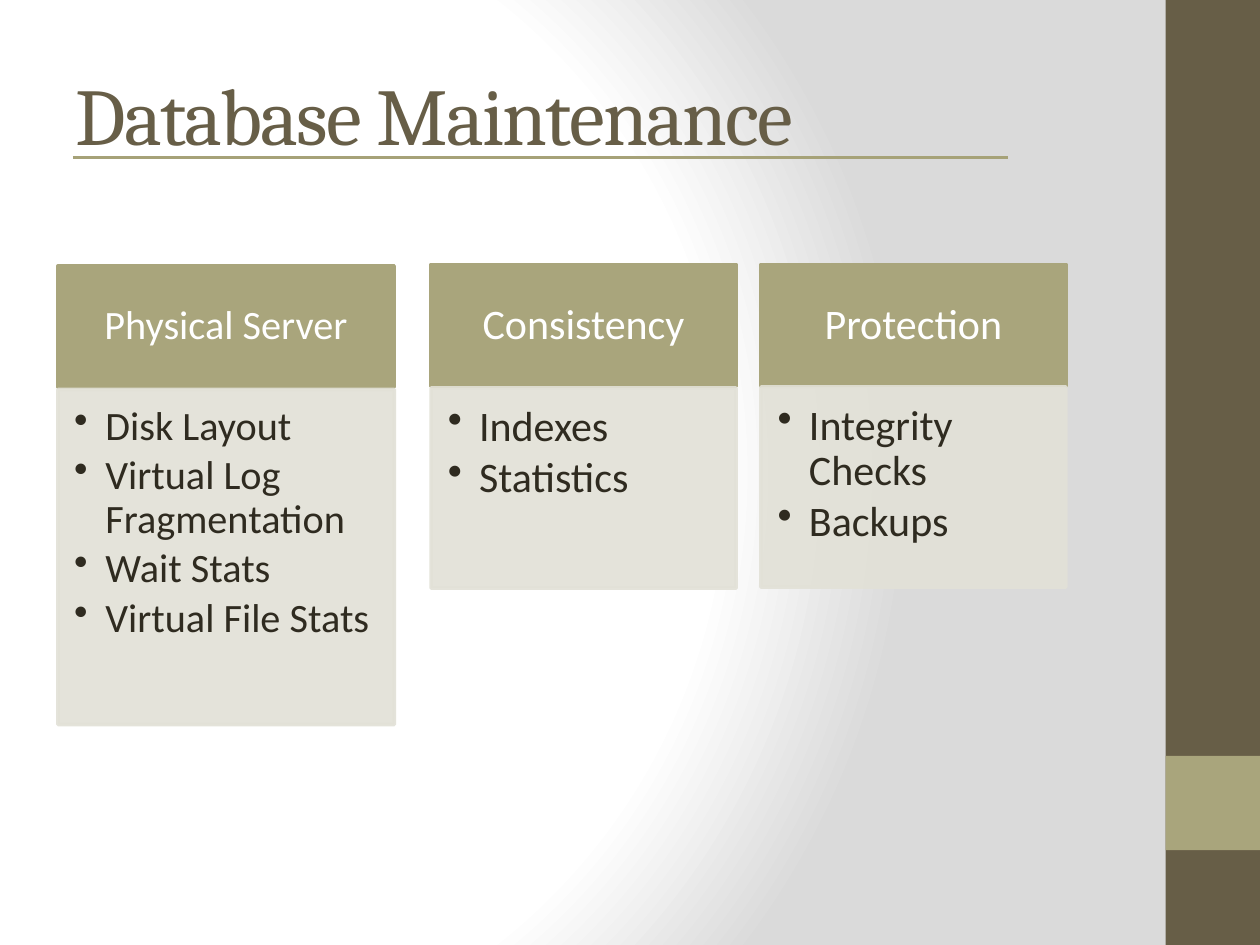
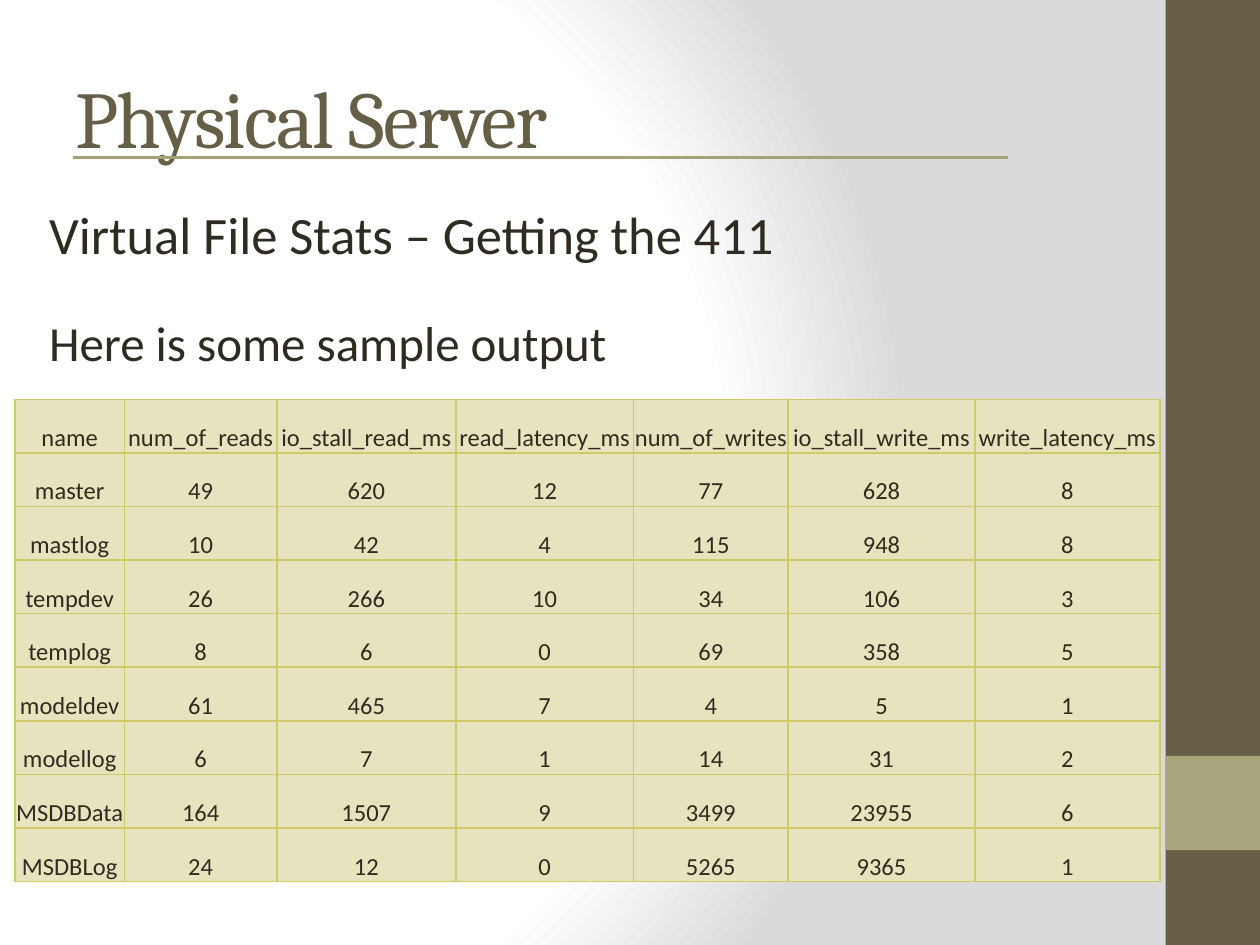
"""Build two slides on database maintenance and virtual file statistics."""
from lxml import etree
from pptx import Presentation
from pptx.dml.color import RGBColor
from pptx.enum.shapes import MSO_CONNECTOR, MSO_SHAPE
from pptx.enum.text import MSO_ANCHOR, MSO_AUTO_SIZE, PP_ALIGN
from pptx.oxml import parse_xml
from pptx.oxml.ns import nsdecls, qn
from pptx.util import Cm, Pt

RECTANGLE = MSO_SHAPE.RECTANGLE
STRAIGHT = MSO_CONNECTOR.STRAIGHT
TOP, MIDDLE, BOTTOM = MSO_ANCHOR.TOP, MSO_ANCHOR.MIDDLE, MSO_ANCHOR.BOTTOM
LEFT, CENTER = PP_ALIGN.LEFT, PP_ALIGN.CENTER
NO_AUTOFIT = MSO_AUTO_SIZE.NONE

BROWN = RGBColor(0x67, 0x5E, 0x47)
OLIVE = RGBColor(0xA9, 0xA5, 0x7C)
RULE_OLIVE = RGBColor(0xA6, 0xA2, 0x78)
PANEL = RGBColor(0xE2, 0xE1, 0xD7)
INK = RGBColor(0x2F, 0x2B, 0x20)
WHITE = RGBColor(0xFF, 0xFF, 0xFF)
BACKDROP_GRAY = RGBColor(0xDA, 0xDA, 0xDA)
CELL = RGBColor(0xE6, 0xE4, 0xBF)
GRID = RGBColor(0xD0, 0xC9, 0x67)

HEADING_FONT, BODY_FONT = "Cambria", "Calibri"
TITLE_ONLY = 5
WIDTH, HEIGHT = 25.4, 19.05
SIDEBAR_LEFT, SIDEBAR_WIDTH = 23.5, 1.9

TOPICS = [
    ("Physical Server", 23, (1.17, 5.36, 6.78), 2.44, (7.85, 6.76),
     ["Disk Layout", "Virtual Log Fragmentation", "Wait Stats", "Virtual File Stats"]),
    ("Consistency", 24, (8.69, 5.33, 6.15), 2.46, (7.82, 4.04),
     ["Indexes", "Statistics"]),
    ("Protection", 24, (15.34, 5.33, 6.15), 2.46, (7.8, 4.04),
     ["Integrity Checks", "Backups"]),
]

FILE_STATS = [
    ("name", "num_of_reads", "io_stall_read_ms", "read_latency_ms",
     "num_of_writes", "io_stall_write_ms", "write_latency_ms"),
    ("master", 49, 620, 12, 77, 628, 8),
    ("mastlog", 10, 42, 4, 115, 948, 8),
    ("tempdev", 26, 266, 10, 34, 106, 3),
    ("templog", 8, 6, 0, 69, 358, 5),
    ("modeldev", 61, 465, 7, 4, 5, 1),
    ("modellog", 6, 7, 1, 14, 31, 2),
    ("MSDBData", 164, 1507, 9, 3499, 23955, 6),
    ("MSDBLog", 24, 12, 0, 5265, 9365, 1),
]
COLUMN_WIDTHS = (2.21, 3.07, 3.61, 3.58, 3.12, 3.76, 3.73)
ROW_HEIGHT = 1.08


def set_backdrop(master):
    """Give the master a radial gradient from white to gray."""
    master.background.fill.solid()
    plain = master.element.find(".//" + qn("p:bgPr"))[0]
    stops = "".join(
        f'<a:gs pos="{percent * 1000}"><a:srgbClr val="{color}"/></a:gs>'
        for percent, color in ((0, WHITE), (75, WHITE), (100, BACKDROP_GRAY)))
    plain.getparent().replace(plain, parse_xml(
        f'<a:gradFill {nsdecls("a")} rotWithShape="1"><a:gsLst>{stops}</a:gsLst>'
        '<a:path path="circle"><a:fillToRect l="20000" t="50000" r="100000" b="50000"/>'
        '</a:path></a:gradFill>'))


def add_run(paragraph, text, size, color, font=BODY_FONT):
    """Append one formatted run."""
    run = paragraph.add_run()
    run.text = text
    run.font.name = font
    run.font.size = Pt(size)
    run.font.color.rgb = color
    return run


def add_block(slide, left, top, width, height, color, outlined=False):
    """Draw a flat rectangle, with a line in its own colour if outlined."""
    block = slide.shapes.add_shape(RECTANGLE, Cm(left), Cm(top), Cm(width), Cm(height))
    block.shadow.inherit = False
    block.fill.solid()
    block.fill.fore_color.rgb = color
    if outlined:
        block.line.color.rgb = color
        block.line.width = Pt(2)
    else:
        block.line.fill.background()
    return block


def add_titled_slide(deck, title, top, height):
    """Add a slide with its sidebar, heading and heading rule."""
    slide = deck.slides.add_slide(deck.slide_layouts[TITLE_ONLY])
    add_block(slide, SIDEBAR_LEFT, 0, SIDEBAR_WIDTH, HEIGHT, BROWN)
    add_block(slide, SIDEBAR_LEFT, 15.24, SIDEBAR_WIDTH, SIDEBAR_WIDTH, OLIVE)

    heading = slide.shapes.title
    heading.left, heading.top = Cm(1.27), Cm(top)
    heading.width, heading.height = Cm(21.16), Cm(height)
    frame = heading.text_frame
    frame.auto_size = NO_AUTOFIT
    frame.vertical_anchor = MIDDLE
    frame.paragraphs[0].alignment = LEFT
    run = add_run(frame.paragraphs[0], title, 46, BROWN, HEADING_FONT)
    run.font._element.set("spc", "-100")

    rule = slide.shapes.add_connector(STRAIGHT, Cm(1.47), Cm(3.18), Cm(20.32), Cm(3.18))
    rule.line.color.rgb = RULE_OLIVE
    rule.line.width = Pt(1.5)
    etree.SubElement(rule.element.spPr, qn("a:effectLst"))
    return slide


def set_insets(frame, left, top, right, bottom):
    """Set the four inner margins of a text frame."""
    frame.word_wrap = True
    frame.margin_left, frame.margin_top = left, top
    frame.margin_right, frame.margin_bottom = right, bottom


def add_bullet(paragraph):
    """Give a paragraph a hanging round bullet."""
    properties = paragraph._p.get_or_add_pPr()
    properties.set("marL", str(Cm(0.63)))
    properties.set("indent", str(-Cm(0.63)))
    etree.SubElement(properties, qn("a:buChar"), char="•")


def add_topic(slide, name, size, place, head_height, body_span, points):
    """Draw a topic header above a translucent panel of bullet points."""
    left, top, width = place
    side = Pt(size * 0.55)
    header = add_block(slide, left, top, width, head_height, OLIVE, outlined=True)
    set_insets(header.text_frame, side, Pt(size * 0.32), side, Pt(size * 0.32))
    header.text_frame.vertical_anchor = MIDDLE
    label = header.text_frame.paragraphs[0]
    label.alignment = CENTER
    label.line_spacing = 0.9
    add_run(label, name, size, WHITE)

    body_top, body_height = body_span
    panel = add_block(slide, left, body_top, width, body_height, PANEL, outlined=True)
    for color in panel.element.spPr.iter(qn("a:srgbClr")):
        etree.SubElement(color, qn("a:alpha"), val="90000")
    frame = panel.text_frame
    set_insets(frame, Pt(size * 0.4), Pt(size * 0.4), side, Pt(size * 0.6))
    frame.vertical_anchor = TOP
    for index, point in enumerate(points):
        paragraph = frame.add_paragraph() if index else frame.paragraphs[0]
        paragraph.alignment = LEFT
        paragraph.line_spacing = 0.9
        paragraph.space_after = Pt(size * 0.15)
        add_bullet(paragraph)
        add_run(paragraph, point, size, INK)


def add_introduction(slide):
    """Write the two lines that lead into the table."""
    introduction = slide.shapes.add_textbox(Cm(0.43), Cm(3.94), Cm(22.43), Cm(4))
    frame = introduction.text_frame
    set_insets(frame, Cm(0.56), Cm(0.13), Cm(0.25), Cm(0.13))
    add_run(frame.paragraphs[0], "Virtual File Stats – Getting the 411", 30, INK)
    lead = frame.add_paragraph()
    lead.space_before = Pt(27)
    add_run(lead, "Here is some sample output", 28, INK)


def format_cell(cell, value):
    """Write a value into a filled and bordered cell."""
    cell.margin_left = cell.margin_right = cell.margin_top = Cm(0.02)
    cell.margin_bottom = Cm(0)
    cell.vertical_anchor = BOTTOM
    cell.fill.solid()
    cell.fill.fore_color.rgb = CELL
    paragraph = cell.text_frame.paragraphs[0]
    paragraph.alignment = CENTER
    add_run(paragraph, str(value), 14, INK)
    properties = cell._tc.get_or_add_tcPr()
    for order, edge in enumerate(("lnL", "lnR", "lnT", "lnB")):
        properties.insert(order, parse_xml(
            f'<a:{edge} {nsdecls("a")} w="{Pt(1)}"><a:solidFill>'
            f'<a:srgbClr val="{GRID}"/></a:solidFill></a:{edge}>'))


def add_stats_table(slide):
    """Add the table of reads, writes and latencies per file."""
    table = slide.shapes.add_table(
        len(FILE_STATS), len(COLUMN_WIDTHS), Cm(0.3), Cm(8.05),
        Cm(sum(COLUMN_WIDTHS)), Cm(ROW_HEIGHT * len(FILE_STATS))).table
    table.first_row = table.horz_banding = False
    for column, width in zip(table.columns, COLUMN_WIDTHS):
        column.width = Cm(width)
    for row, values in zip(table.rows, FILE_STATS):
        row.height = Cm(ROW_HEIGHT)
        for cell, value in zip(row.cells, values):
            format_cell(cell, value)


def main():
    """Build and save the deck."""
    deck = Presentation()
    deck.slide_width, deck.slide_height = Cm(WIDTH), Cm(HEIGHT)
    set_backdrop(deck.slide_master)

    overview = add_titled_slide(deck, "Database Maintenance", 0.64, 3.3)
    for topic in TOPICS:
        add_topic(overview, *topic)

    server = add_titled_slide(deck, "Physical Server", 0.76, 3.18)
    add_introduction(server)
    add_stats_table(server)

    deck.save("out.pptx")


if __name__ == "__main__":
    main()
